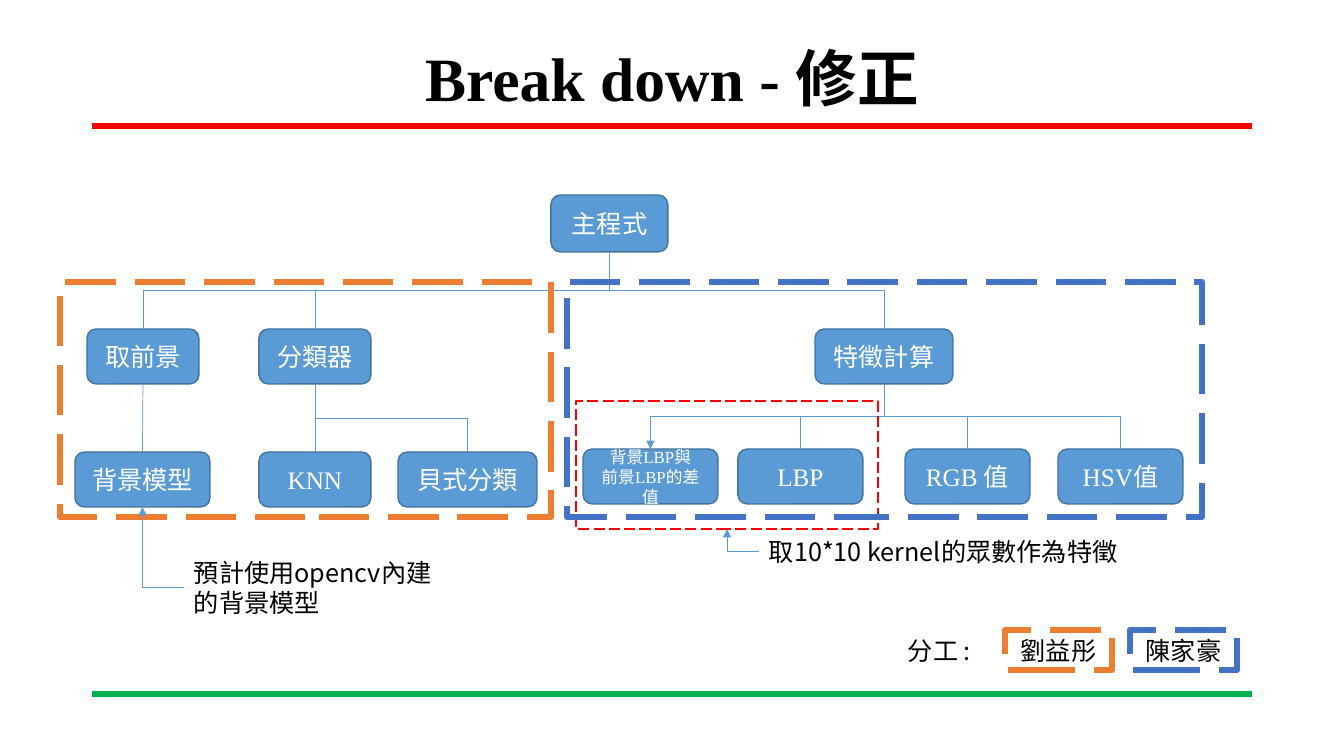
from pptx import Presentation
from pptx.dml.color import RGBColor
from pptx.enum.dml import MSO_LINE
from pptx.enum.shapes import MSO_CONNECTOR, MSO_SHAPE
from pptx.enum.text import MSO_ANCHOR, MSO_AUTO_SIZE, PP_ALIGN
from pptx.oxml.ns import qn
from pptx.util import Pt
from lxml.etree import SubElement

SERIF, SANS = "Times New Roman", "Noto Sans CJK SC"
BLACK, WHITE = RGBColor(0, 0, 0), RGBColor(255, 255, 255)
RED, GREEN = RGBColor(0xFF, 0, 0), RGBColor(0, 0xB0, 0x50)
NODE_FILL, NODE_LINE = RGBColor(0x5B, 0x9B, 0xD5), RGBColor(0x43, 0x73, 0x9E)
ORANGE, BLUE = RGBColor(0xED, 0x7D, 0x31), RGBColor(0x44, 0x72, 0xC4)

TITLE = "Break down - 修正"
RULES = [(126, RED), (694, GREEN)]
ROWS = [
    (195, 57, [("main", 551, 117, ["主程式"], 18)]),
    (329, 55, [("foreground", 87, 112, ["取前景"], 18),
               ("classifier", 259, 112, ["分類器"], 18),
               ("features", 815, 138, ["特徵計算"], 18)]),
    (452, 55, [("model", 75, 135, ["背景模型"], 18),
               ("knn", 259, 112, ["KNN"], 18),
               ("bayes", 398, 139, ["貝式分類"], 18)]),
    (449, 55, [("diff", 583, 135, ["背景LBP與", "前景LBP的差值"], 12),
               ("lbp", 738, 125, ["LBP"], 18),
               ("rgb", 905, 125, ["RGB 值"], 18),
               ("hsv", 1058, 125, ["HSV值"], 18)]),
]
CHILDREN = {
    "main": ["foreground", "classifier", "features"],
    "foreground": ["model"],
    "classifier": ["knn", "bayes"],
    "features": ["diff", "lbp", "rgb", "hsv"],
}
FRAMES = [
    ("kernel", (576, 401, 302, 128), RED, 1, []),
    ("orange", (60, 282, 491, 235), ORANGE, 4.5, []),
    ("blue", (567, 282, 635, 235), BLUE, 4.5, []),
    ("second", (1130, 630, 107, 40), BLUE, 4.5, ["陳家豪"]),
    ("first", (1005, 630, 107, 40), ORANGE, 4.5, ["劉益彤"]),
]
NOTES = [
    ((759, 531, 530, 40), "取10*10 kernel的眾數作為特徵", True, "kernel"),
    ((184, 552, 261, 71), "預計使用opencv內建的背景模型", True, "model"),
    ((898, 630, 97, 40), "分工 :", False, None),
]
TOP, LEFT, BOTTOM = 0, 1, 2


def px(n):
    return round(n * 914400 / 100.8)


def write(tf, lines, size=18, font=SERIF, color=BLACK, bold=False,
          align=PP_ALIGN.CENTER, anchor=MSO_ANCHOR.MIDDLE, wrap=True):
    tf.word_wrap = wrap
    tf.vertical_anchor = anchor
    for i, line in enumerate(lines):
        p = tf.add_paragraph() if i else tf.paragraphs[0]
        p.alignment = align
        r = p.add_run()
        r.text = line
        r.font.size, r.font.bold, r.font.name = Pt(size), bold, font
        r.font.color.rgb = color
        SubElement(r.font._element, qn("a:ea"), typeface=SANS)


def add_box(s, kind, box, fill, line, width):
    sp = s.shapes.add_shape(kind, *map(px, box))
    sp.shadow.inherit = False
    if fill is None:
        sp.fill.background()
    else:
        sp.fill.solid()
        sp.fill.fore_color.rgb = fill
    sp.line.color.rgb = line
    sp.line.width = Pt(width)
    return sp


def style_line(c, color, width, arrow=False):
    c.line.color.rgb = color
    c.line.width = Pt(width)
    if arrow:
        SubElement(c.line._get_or_add_ln(), qn("a:tailEnd"), type="triangle")
    SubElement(c._element.spPr, qn("a:effectLst"))


def link(s, a, a_site, b, b_site, arrow=False):
    x1, y1 = ((a.left, a.top + a.height // 2) if a_site == LEFT
              else (a.left + a.width // 2, a.top + a.height))
    x2 = b.left + b.width // 2
    y2 = b.top if b_site == TOP else b.top + b.height
    straight = abs(x2 - x1) < px(2)
    kind = MSO_CONNECTOR.STRAIGHT if straight else MSO_CONNECTOR.ELBOW
    c = s.shapes.add_connector(kind, x1, y1, x2, y2)
    c.begin_connect(a, a_site)
    c.end_connect(b, b_site)
    if not straight:
        w, h = abs(x2 - x1), abs(y2 - y1)
        xfrm = c._element.spPr.find(qn("a:xfrm"))
        for flip in ("flipH", "flipV"):
            xfrm.attrib.pop(flip, None)
        if a_site == LEFT:
            angle = 180
            c._element.spPr.find(qn("a:prstGeom")).set("prst", "bentConnector2")
            c.left, c.top, c.width, c.height = min(x1, x2), min(y1, y2), w, h
        else:
            angle = 90 if x2 < x1 else 270
            c.left, c.top = (x1 + x2 - h) // 2, (y1 + y2 - w) // 2
            c.width, c.height = h, w
            if x2 > x1:
                xfrm.set("flipH", "1")
        xfrm.set("rot", str(angle * 60000))
    style_line(c, NODE_FILL, 0.5, arrow)


def main():
    prs = Presentation()
    prs.slide_width, prs.slide_height = px(1344), px(756)
    s = prs.slides.add_slide(prs.slide_layouts[5])

    for y, color in RULES:
        c = s.shapes.add_connector(MSO_CONNECTOR.STRAIGHT, px(92), px(y), px(1252), px(y))
        style_line(c, color, 4.5)

    title = s.shapes.title
    title.left, title.top, title.width, title.height = map(px, (202, 11, 940, 141))
    write(title.text_frame, [TITLE], size=44, bold=True)
    title.text_frame.paragraphs[0].line_spacing = 0.9

    parts = {}
    for top, height, nodes in ROWS:
        for name, left, width, lines, size in nodes:
            sp = add_box(s, MSO_SHAPE.ROUNDED_RECTANGLE, (left, top, width, height),
                         NODE_FILL, NODE_LINE, 1)
            write(sp.text_frame, lines, size=size, color=WHITE)
            parts[name] = sp

    for parent, children in CHILDREN.items():
        for child in children:
            link(s, parts[parent], BOTTOM, parts[child], TOP, arrow=child == "diff")

    for name, box, color, width, lines in FRAMES:
        sp = add_box(s, MSO_SHAPE.RECTANGLE, box, None, color, width)
        sp.line.dash_style = MSO_LINE.LONG_DASH
        write(sp.text_frame, lines)
        parts[name] = sp

    for box, text, wrap, target in NOTES:
        tb = s.shapes.add_textbox(*map(px, box))
        write(tb.text_frame, [text], font=SANS, align=PP_ALIGN.LEFT,
              anchor=MSO_ANCHOR.TOP, wrap=wrap)
        tb.text_frame.auto_size = MSO_AUTO_SIZE.SHAPE_TO_FIT_TEXT
        if target:
            link(s, tb, LEFT, parts[target], BOTTOM, arrow=True)

    prs.save("out.pptx")


if __name__ == "__main__":
    main()
